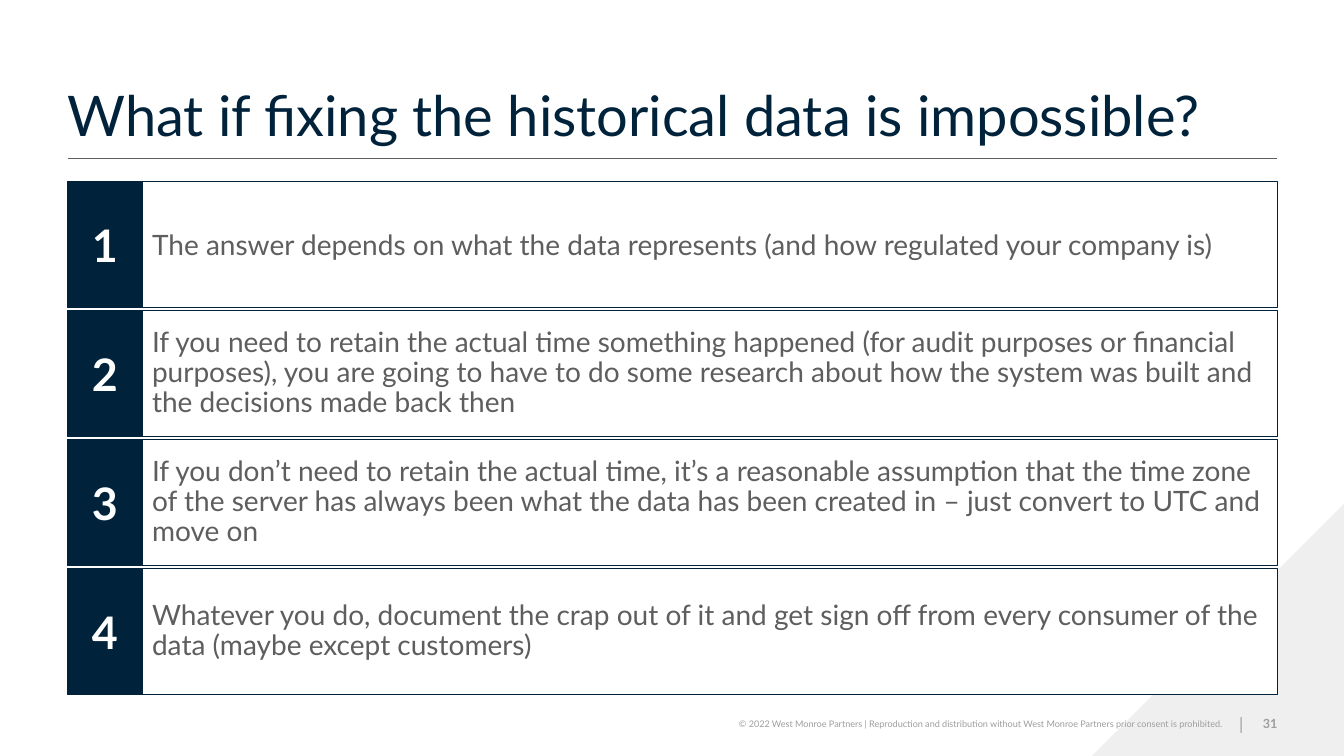
from lxml import etree
from pptx import Presentation
from pptx import util as u
from pptx.dml.color import RGBColor
from pptx.enum import shapes, text
from pptx.oxml.ns import qn

NAVY = RGBColor(0x00, 0x22, 0x3A)
GRAY = RGBColor(0x5E, 0x5E, 0x5E)
MUTED = RGBColor(0x9E, 0x9E, 0x9E)
PALE = RGBColor(0xEF, 0xEF, 0xEF)
WHITE = RGBColor(0xFF, 0xFF, 0xFF)

LEFT, WIDTH, NUMBER = 0.67, 12, 0.74
TOP, HIGH, STEP = 1.8, 1.25, 1.28
FOOT, TALL = 6.98, 0.4
PAD = (0.1, 0.12)
ALIGN = text.PP_ALIGN
ANCHOR = text.MSO_ANCHOR

POINTS = [
    ("The answer depends on what the data represents "
     "(and how regulated your company is)"),
    ("If you need to retain the actual time something happened (for audit "
     "purposes or financial purposes), you are going to have to do some "
     "research about how the system was built and the decisions made back then"),
    ("If you don’t need to retain the actual time, it’s a reasonable "
     "assumption that the time zone of the server has always been what the "
     "data has been created in – just convert to UTC and move on"),
    ("Whatever you do, document the crap out of it and get sign off from "
     "every consumer of the data (maybe except customers)"),
]
RIGHTS = ("© 2022 West Monroe Partners | Reproduction and distribution without "
          "West Monroe Partners prior consent is prohibited.")


def write(shape, words, size, color, bold=False, align=ALIGN.LEFT,
          anchor=ANCHOR.MIDDLE, pad=(0, 0), space=1.0):
    """Put one formatted paragraph in a shape."""
    frame = shape.text_frame
    side, edge = (u.Inches(n) for n in pad)
    look = {"word_wrap": True, "vertical_anchor": anchor,
            "margin_left": side, "margin_right": side,
            "margin_top": edge, "margin_bottom": edge}
    for name, value in look.items():
        setattr(frame, name, value)
    para = frame.paragraphs[0]
    para.alignment = align
    para.line_spacing = space
    run = para.add_run()
    run.text = words
    style = {"name": "Lato", "size": u.Pt(size), "bold": bold}
    for name, value in style.items():
        setattr(run.font, name, value)
    run.font.color.rgb = color


def label(slide, box, words, size, color, **look):
    """Add a text box."""
    shape = slide.shapes.add_textbox(*map(u.Inches, box))
    write(shape, words, size, color, **look)


def block(slide, kind, box, fill, line=None):
    """Add a filled shape, outlined if a line colour is given."""
    shape = slide.shapes.add_shape(kind, *map(u.Inches, box))
    shape.shadow.inherit = False
    shape.fill.solid()
    shape.fill.fore_color.rgb = fill
    if line is None:
        shape.line.fill.background()
    else:
        shape.line.color.rgb = line
        shape.line.width = u.Pt(1)
    return shape


def corner(slide):
    """Add the pale triangle in the bottom right corner."""
    shape = block(slide, shapes.MSO_SHAPE.RIGHT_TRIANGLE,
                  (10.83, 5, 2.5, 2.5), PALE)
    shape.element.spPr.find(qn("a:xfrm")).set("flipH", "1")


def rule(slide, top):
    """Add the thin line under the title."""
    ends = map(u.Inches, (LEFT, top, LEFT + WIDTH, top))
    line = slide.shapes.add_connector(shapes.MSO_CONNECTOR.STRAIGHT, *ends)
    line.line.color.rgb = GRAY
    line.line.width = u.Pt(0.3)
    etree.SubElement(line.element.spPr, qn("a:effectLst"))


def row(slide, index, words):
    """Add one numbered point."""
    top = TOP + index * STEP
    rect = shapes.MSO_SHAPE.RECTANGLE
    body = block(slide, rect, (LEFT + NUMBER, top, WIDTH - NUMBER, HIGH),
                 WHITE, NAVY)
    write(body, words, 20, GRAY, pad=PAD, space=0.9 if index else 1.0)
    tag = block(slide, rect, (LEFT, top, NUMBER, HIGH), NAVY, NAVY)
    write(tag, str(index + 1), 32, WHITE, bold=True, align=ALIGN.CENTER,
          pad=PAD)


def footer(slide):
    """Add the rights line, divider and page number."""
    label(slide, (12.19, FOOT, 0.22, TALL), "|", 12, MUTED,
          align=ALIGN.CENTER, pad=(0.1, 0.05))
    label(slide, (7.05, FOOT, 5.08, TALL), RIGHTS, 6.5, MUTED,
          align=ALIGN.RIGHT)
    label(slide, (12.19, FOOT, 0.48, TALL), "31", 9, MUTED, bold=True,
          align=ALIGN.RIGHT)


def main():
    """Build and save the slide."""
    deck = Presentation()
    deck.slide_width, deck.slide_height = u.Inches(13.33), u.Inches(7.5)
    slide = deck.slides.add_slide(deck.slide_layouts[6])
    corner(slide)
    rule(slide, 1.57)
    label(slide, (LEFT, 0.67, WIDTH, 0.8),
          "What if fixing the historical data is impossible?", 40, NAVY,
          anchor=ANCHOR.BOTTOM)
    footer(slide)
    for index, words in enumerate(POINTS):
        row(slide, index, words)
    deck.save("out.pptx")


if __name__ == "__main__":
    main()
